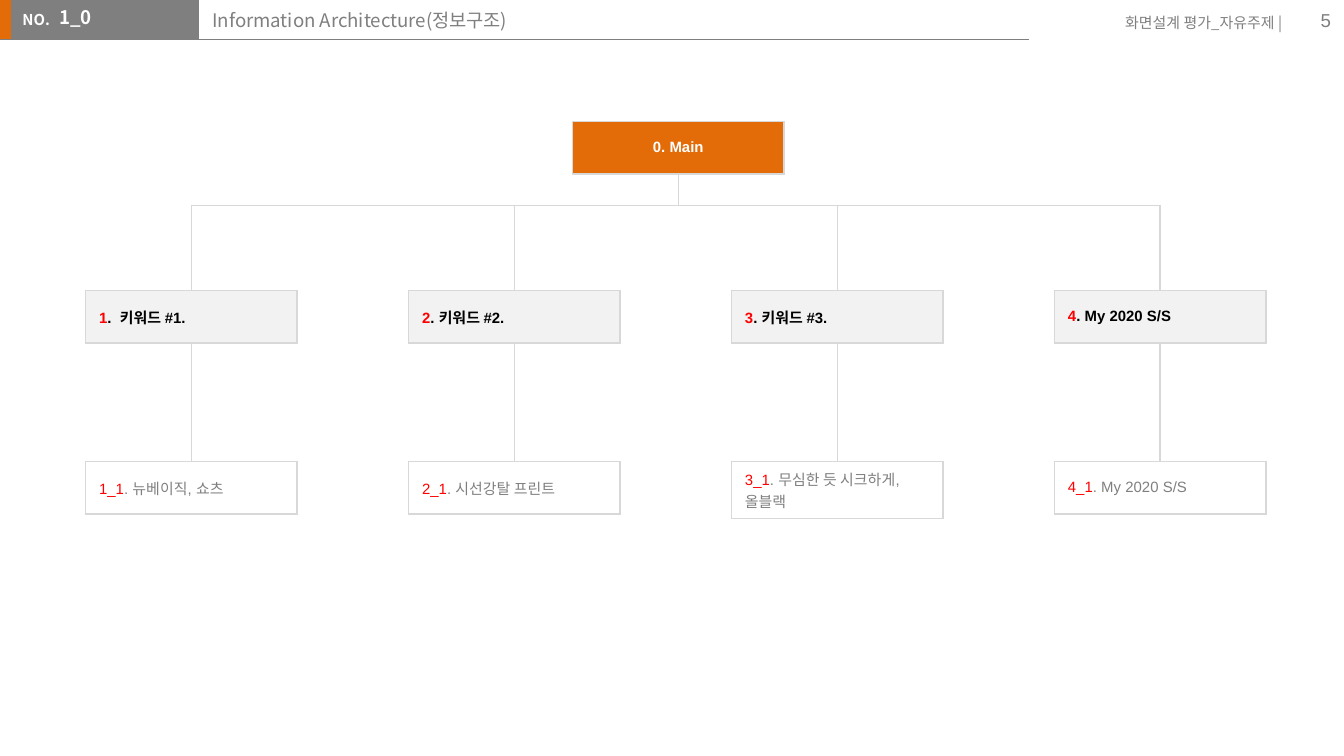
from lxml.etree import SubElement
from pptx import Presentation
from pptx.dml.color import RGBColor
from pptx.enum.shapes import MSO_CONNECTOR, MSO_SHAPE
from pptx.enum.text import MSO_ANCHOR, MSO_AUTO_SIZE, PP_ALIGN
from pptx.oxml import parse_xml
from pptx.oxml.ns import nsdecls, qn
from pptx.util import Pt

ORANGE = RGBColor(0xE3, 0x6C, 0x09)
GRAY = RGBColor(0x7F, 0x7F, 0x7F)
RULE = RGBColor(0xD8, 0xD8, 0xD8)
PALE = RGBColor(0xF2, 0xF2, 0xF2)
RED = RGBColor(0xFF, 0x00, 0x00)
WHITE = RGBColor(0xFF, 0xFF, 0xFF)
BLACK = RGBColor(0x00, 0x00, 0x00)
LATIN, HANGUL = "Arial", "Noto Sans CJK KR"

TITLE = "Information Architecture(정보구조)"
SECTION = "1_0"
MAIN = "0. Main"
BRANCHES = [
    (("1", ".  키워드 #1."), ("1_1", ". 뉴베이직, 쇼츠")),
    (("2", ". 키워드 #2."), ("2_1", ". 시선강탈 프린트")),
    (("3", ". 키워드 #3."), ("3_1", ". 무심한 듯 시크하게, 올블랙")),
    (("4", ". My 2020 S/S"), ("4_1", ". My 2020 S/S")),
]
HEADER_BARS = [(-0.5, 8.5, ORANGE), (6, 100.6, GRAY)]
HEADER_TEXTS = [
    ("NO.", (5, 2, 30, 17), 8, HANGUL, WHITE, True, PP_ALIGN.LEFT, MSO_ANCHOR.TOP),
    ("화면설계 평가_자유주제 |", (576, 3.6, 118, 17), 8, HANGUL, GRAY, False,
     PP_ALIGN.RIGHT, MSO_ANCHOR.TOP),
    ("5", (677, 0, 43, 21.6), 10, LATIN, GRAY, False, PP_ALIGN.RIGHT, MSO_ANCHOR.MIDDLE),
]

BOX_W, BOX_H = 113.2, 28.2
FIRST_LEFT, PITCH = 45.9, 173
MAIN_LEFT = 306.8
MAIN_TOP, BUS_Y, KEYWORD_TOP, DETAIL_TOP = 65, 110, 155.6, 247.2

deck = Presentation()
deck.slide_width, deck.slide_height = Pt(720), Pt(405)
slide = deck.slides.add_slide(deck.slide_layouts[1])
shapes = slide.shapes


def style(run, size, face, color, bold=False):
    run.font.size = Pt(size)
    run.font.name = face
    run.font.bold = bold
    run.font.color.rgb = color
    SubElement(run._r.get_or_add_rPr(), qn("a:ea")).set("typeface", HANGUL)


def place(shape, left, top, width, height):
    shape.left, shape.top = Pt(left), Pt(top)
    shape.width, shape.height = Pt(width), Pt(height)


def add_line(x1, y1, x2, y2, color=RULE):
    line = shapes.add_connector(MSO_CONNECTOR.STRAIGHT, Pt(x1), Pt(y1), Pt(x2), Pt(y2))
    line.line.color.rgb = color
    line.line.width = Pt(0.75)
    SubElement(line._element.spPr, qn("a:effectLst"))


def add_node(left, top, fill, parts, bold=False, align=PP_ALIGN.LEFT):
    frame = shapes.add_table(1, 1, Pt(left), Pt(top), Pt(BOX_W), Pt(BOX_H))
    frame.table.first_row = frame.table.horz_banding = False
    cell = frame.table.cell(0, 0)
    cell.vertical_anchor = MSO_ANCHOR.MIDDLE
    cell.fill.solid()
    cell.fill.fore_color.rgb = fill
    for order, side in enumerate(("lnL", "lnR", "lnT", "lnB")):
        border = parse_xml(
            f'<a:{side} {nsdecls("a")} w="{Pt(1)}"><a:solidFill>'
            f'<a:srgbClr val="{RULE}"/></a:solidFill></a:{side}>')
        cell._tc.get_or_add_tcPr().insert(order, border)
    paragraph = cell.text_frame.paragraphs[0]
    paragraph.alignment = align
    for words, color in parts:
        run = paragraph.add_run()
        run.text = words
        style(run, 8, LATIN, color, bold)


def fill_placeholder(holder, words, box, color, bold=False):
    place(holder, *box)
    shapes._spTree.append(holder._element)
    frame = holder.text_frame
    frame.text = words
    frame.word_wrap = True
    frame.auto_size = MSO_AUTO_SIZE.NONE
    frame.vertical_anchor = MSO_ANCHOR.TOP
    frame.margin_left = frame.margin_right = Pt(7.2)
    frame.margin_top = frame.margin_bottom = Pt(7.2)
    paragraph = frame.paragraphs[0]
    paragraph.alignment = PP_ALIGN.LEFT
    paragraph.space_before = Pt(0)
    style(paragraph.runs[0], 10, HANGUL, color, bold)
    return paragraph


for left, width, color in HEADER_BARS:
    bar = shapes.add_shape(MSO_SHAPE.RECTANGLE, Pt(left), Pt(0), Pt(width), Pt(21))
    bar.shadow.inherit = False
    bar.fill.solid()
    bar.fill.fore_color.rgb = color
    bar.line.fill.background()
add_line(0, 21.2, 551.5, 21.2, GRAY)

for words, box, size, face, color, bold, align, anchor in HEADER_TEXTS:
    label = shapes.add_textbox(*map(Pt, box)).text_frame
    label.word_wrap = True
    label.vertical_anchor = anchor
    label.text = words
    label.paragraphs[0].alignment = align
    style(label.paragraphs[0].runs[0], size, face, color, bold)

fill_placeholder(shapes.title, TITLE, (106.6, -2.2, 442, 23), GRAY)
section = fill_placeholder(slide.placeholders[1], SECTION, (6.5, -4.3, 79, 22.3), WHITE, True)
indents = section._p.get_or_add_pPr()
indents.set("marL", str(Pt(36)))
indents.set("indent", str(Pt(-18)))
SubElement(indents, qn("a:buNone"))

lefts = [FIRST_LEFT + PITCH * i for i in range(len(BRANCHES))]
centers = [left + BOX_W / 2 for left in lefts]
main_center = MAIN_LEFT + BOX_W / 2
add_line(main_center, MAIN_TOP + BOX_H, main_center, BUS_Y)
add_line(centers[0], BUS_Y, centers[-1], BUS_Y)
for center in centers:
    add_line(center, BUS_Y, center, KEYWORD_TOP)
    add_line(center, KEYWORD_TOP + BOX_H, center, DETAIL_TOP)

add_node(MAIN_LEFT, MAIN_TOP, ORANGE, [(MAIN, WHITE)], True, PP_ALIGN.CENTER)
for left, ((number, keyword), (code, detail)) in zip(lefts, BRANCHES):
    add_node(left, KEYWORD_TOP, PALE, [(number, RED), (keyword, BLACK)], True)
    add_node(left, DETAIL_TOP, WHITE, [(code, RED), (detail, GRAY)])

deck.save("out.pptx")
